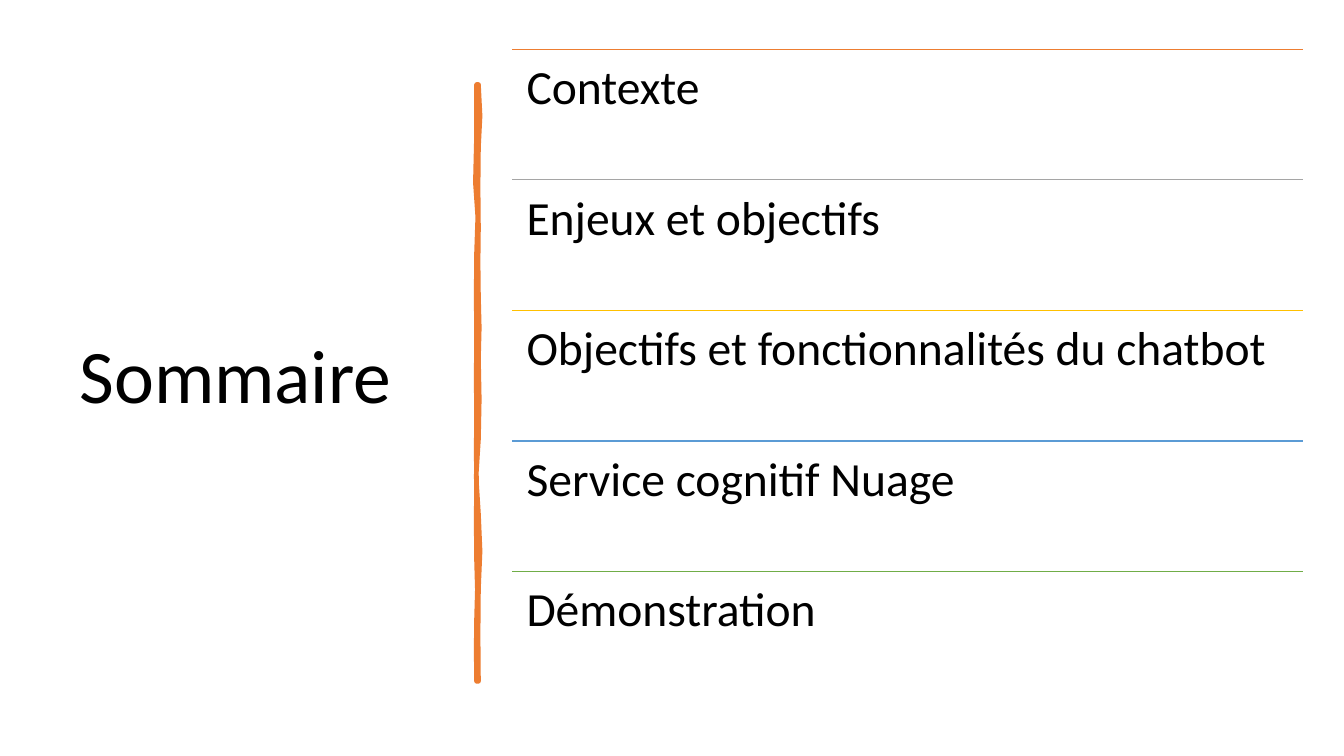
import pptx
import pptx.util
import pptx.dml.color
import pptx.enum.shapes
import pptx.enum.text
import pptx.oxml.ns
import lxml.etree

Cm = pptx.util.Cm
Pt = pptx.util.Pt


def colour(hex_string):
    return pptx.dml.color.RGBColor.from_string(hex_string)


def write(frame, text, size):
    """Fill a text frame with one left-aligned Calibri paragraph."""
    frame.word_wrap = True
    frame.auto_size = pptx.enum.text.MSO_AUTO_SIZE.NONE
    para = frame.paragraphs[0]
    para.alignment = pptx.enum.text.PP_ALIGN.LEFT
    para.line_spacing = 0.9
    span = para.add_run()
    span.text = text
    span.font.name = "Calibri"
    span.font.size = Pt(size)
    span.font.color.rgb = colour("000000")


deck = pptx.Presentation()
deck.slide_width = Cm(33.87)
deck.slide_height = Cm(19.05)
page = deck.slides.add_slide(deck.slide_layouts[5])

# Title
title = page.shapes.title
title.left, title.top, title.width, title.height = Cm(1.75), Cm(1.78), Cm(9.5), Cm(15.52)
title.text_frame.vertical_anchor = pptx.enum.text.MSO_ANCHOR.MIDDLE
write(title.text_frame, "Sommaire", 54)

# Hand-drawn divider: down the right edge, then up the left edge
right_edge = [
    (12.06, 2.13), (12.1, 2.92), (12.06, 3.71), (12.05, 4.72), (12.06, 5.74),
    (12.05, 6.6), (12.06, 7.47), (12.08, 8.26), (12.06, 9.04), (12.08, 10.06),
    (12.06, 11.07), (12, 12.01), (12.06, 12.95), (12.1, 13.89), (12.06, 14.83),
    (12.05, 16), (12.06, 17.17),
]
left_edge = [
    (12.01, 17.17), (12, 16.38), (12.01, 15.57), (12.03, 14.86), (12.01, 14.15),
    (12, 13.13), (12.01, 12.12), (12, 11.33), (12.01, 10.54), (12, 9.52),
    (12.01, 8.51), (12, 7.44), (12.01, 6.35), (12.04, 5.47), (11.98, 4.6),
    (12.01, 3.36), (12.01, 2.13),
]
points = [(Cm(x), Cm(y)) for x, y in right_edge + left_edge]
outline = page.shapes.build_freeform(*points[0])
outline.add_line_segments(points[1:], close=True)
divider = outline.convert_to_shape()
divider.shadow.inherit = False
divider.fill.solid()
divider.fill.fore_color.rgb = colour("ED7D31")
divider.line.color.rgb = colour("ED7D31")
divider.line.width = Pt(3.25)
stroke = divider.line._get_or_add_ln()
stroke.set("cap", "rnd")
lxml.etree.SubElement(stroke, pptx.oxml.ns.qn("a:round"))

# Agenda
agenda = [
    ("Contexte", "ED7D31"),
    ("Enjeux et objectifs", "A5A5A5"),
    ("Objectifs et fonctionnalités du chatbot", "FFC000"),
    ("Service cognitif Nuage", "5B9BD5"),
    ("Démonstration", "70AD47"),
]
left, first_top, width, row_height = Cm(12.91), Cm(1.24), Cm(19.93), Cm(3.29)

for index, (text, rule_colour) in enumerate(agenda):
    top = first_top + index * row_height
    rule = page.shapes.add_connector(
        pptx.enum.shapes.MSO_CONNECTOR.STRAIGHT, left, top, left + width, top)
    rule.line.color.rgb = colour(rule_colour)
    rule.line.width = Pt(1)
    lxml.etree.SubElement(rule._element.spPr, pptx.oxml.ns.qn("a:effectLst"))

    box = page.shapes.add_textbox(left, top, width, row_height)
    frame = box.text_frame
    frame.margin_left = frame.margin_right = Cm(0.36)
    frame.margin_top = frame.margin_bottom = Cm(0.36)
    write(frame, text, 34)

deck.save("out.pptx")
